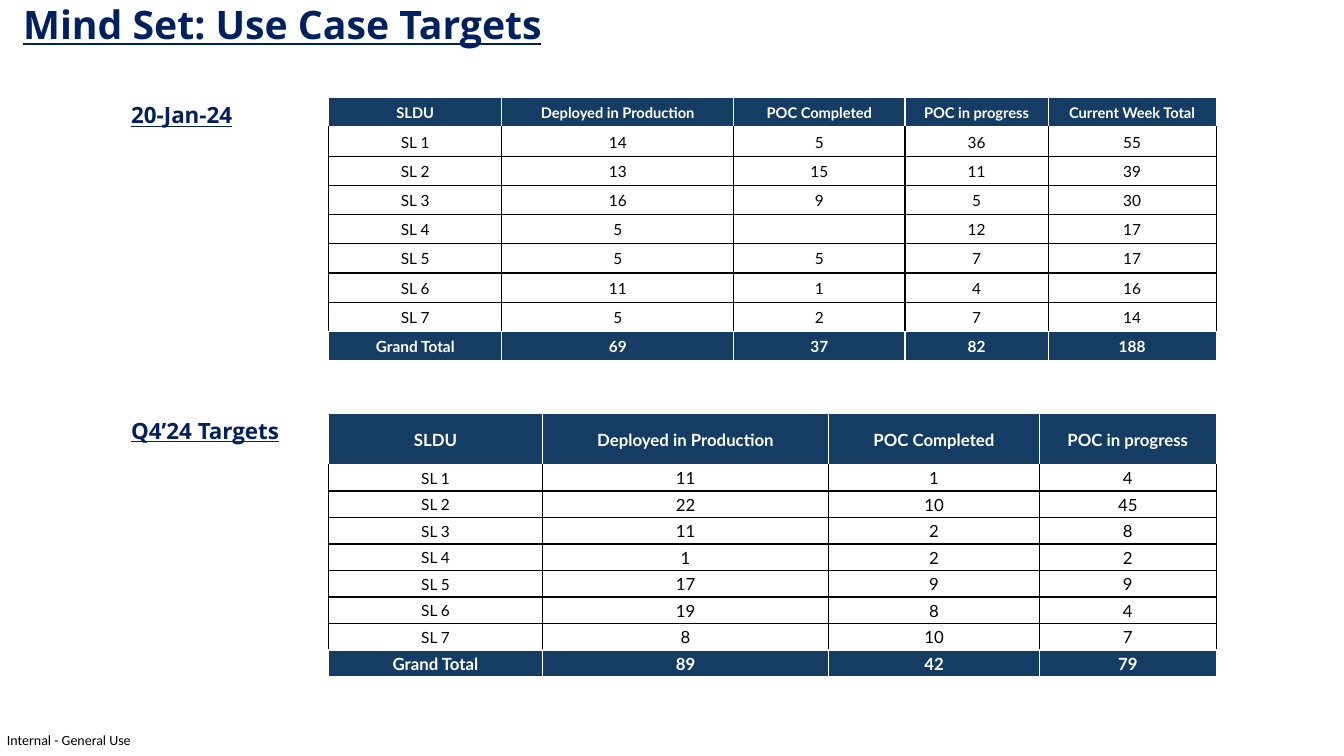
from pptx import Presentation
from pptx import util as u
from pptx.dml.color import RGBColor
from pptx.enum import text
from pptx.oxml import parse_xml
from pptx.oxml.ns import nsdecls

NAVY, BAND, WHITE, BLACK = "002060", "153D64", "FFFFFF", "000000"
COLUMNS = ["SLDU", "Deployed in Production", "POC Completed", "POC in progress"]
ACTUALS = [
    COLUMNS + ["Current Week Total"],
    ["SL 1", 14, 5, 36, 55],
    ["SL 2", 13, 15, 11, 39],
    ["SL 3", 16, 9, 5, 30],
    ["SL 4", 5, "", 12, 17],
    ["SL 5", 5, 5, 7, 17],
    ["SL 6", 11, 1, 4, 16],
    ["SL 7", 5, 2, 7, 14],
    ["Grand Total", 69, 37, 82, 188],
]
TARGETS = [
    COLUMNS,
    ["SL 1", 11, 1, 4],
    ["SL 2", 22, 10, 45],
    ["SL 3", 11, 2, 8],
    ["SL 4", 1, 2, 2],
    ["SL 5", 17, 9, 9],
    ["SL 6", 19, 8, 4],
    ["SL 7", 8, 10, 7],
    ["Grand Total", 89, 42, 79],
]


def color(hex_string):
    return RGBColor.from_string(hex_string)


def write(frame, words, size, font, ink, bold=False, underline=None,
          align=None, spacing=None):
    """Put one formatted paragraph into a text frame."""
    para = frame.paragraphs[0]
    para.alignment = align
    para.line_spacing = spacing
    if words == "":
        # An empty cell keeps its row height through the end mark's size
        para._p.get_or_add_endParaRPr().set("sz", str(int(size * 100)))
        return
    span = para.add_run()
    span.text = str(words)
    span.font.size = u.Pt(size)
    span.font.name = font
    span.font.color.rgb = color(ink)
    span.font.bold = bold
    span.font.underline = underline


def text_box(page, box, margins):
    frame = page.shapes.add_textbox(*map(u.Pt, box)).text_frame
    frame.word_wrap = True
    (frame.margin_left, frame.margin_top,
     frame.margin_right, frame.margin_bottom) = map(u.Pt, margins)
    return frame


def heading(page, box, words, size):
    frame = text_box(page, box, (0, 3.6, 7.2, 3.6))
    write(frame, words, size, "Open Sans", NAVY, bold=True, underline=True,
          spacing=0.98)


def footer(page, box, words):
    frame = text_box(page, box, (0, 0, 0, 0))
    frame.word_wrap = False
    frame.auto_size = text.MSO_AUTO_SIZE.SHAPE_TO_FIT_TEXT
    write(frame, words, 10, "Calibri", BLACK)


def set_borders(cell, side, top, bottom):
    properties = cell._tc.get_or_add_tcPr()
    for edge, ink in zip("LRTB", (side, side, top, bottom)):
        properties.append(parse_xml(
            f'<a:ln{edge} {nsdecls("a")} w="12700"><a:solidFill>'
            f'<a:srgbClr val="{ink}"/></a:solidFill></a:ln{edge}>'))


def sldu_table(page, box, rows, widths, header_height, sizes):
    """sizes: header, body labels, body figures, grand total."""
    left, top, width, height = box
    last = len(rows) - 1
    table = page.shapes.add_table(len(rows), len(widths), *map(u.Pt, box)).table
    table.first_row = table.horz_banding = False
    for column, points in zip(table.columns, widths):
        column.width = u.Pt(points)
    header_size, label_size, figure_size, total_size = sizes

    for r, values in enumerate(rows):
        banded = r in (0, last)
        table.rows[r].height = u.Pt(
            (height - header_height) / last if r else header_height)
        for c, value in enumerate(values):
            cell = table.cell(r, c)
            cell.margin_left = cell.margin_right = cell.margin_top = u.Pt(0.72)
            cell.margin_bottom = 0
            cell.vertical_anchor = text.MSO_ANCHOR.MIDDLE
            # Every edge that touches a band is white
            set_borders(cell, WHITE if banded else BLACK,
                        WHITE if banded or r == 1 else BLACK,
                        WHITE if banded or r == last - 1 else BLACK)
            if banded:
                cell.fill.solid()
                cell.fill.fore_color.rgb = color(BAND)
                size = total_size if r else header_size
            else:
                cell.fill.background()
                size = figure_size if c else label_size
            write(cell.text_frame, value, size, "Lato",
                  WHITE if banded else BLACK, bold=banded,
                  align=text.PP_ALIGN.CENTER)


def section(page, box, title, title_width, **table_format):
    """A heading on the left and its table on the right of the box."""
    left, top, width, height = box
    indent = 141
    heading(page, (left, top, title_width, 44), title, 16)
    sldu_table(page, (left + indent, top, width - indent, height), **table_format)


def main():
    deck = Presentation()
    deck.slide_width, deck.slide_height = u.Pt(960), u.Pt(540)
    page = deck.slides.add_slide(deck.slide_layouts[6])

    # Title and footer
    heading(page, (16.5, -1.5, 951, 44), "Mind Set: Use Case Targets", 28)
    footer(page, (5, 522.7, 91.5, 12.2), "Internal - General Use")

    # Current state and targets
    section(page, (93.7, 69.8, 775, 188), "20-Jan-24", 126, rows=ACTUALS,
            widths=(123.8, 165.6, 122.4, 102.2, 120), header_height=20.9,
            sizes=(10.5, 11, 11, 11))
    section(page, (93.7, 295.4, 775, 188), "Q4’24 Targets", 230, rows=TARGETS,
            widths=(152.8, 204.4, 150.6, 126.2), header_height=36.4,
            sizes=(12, 11, 12, 12))
    deck.save("out.pptx")


if __name__ == "__main__":
    main()
